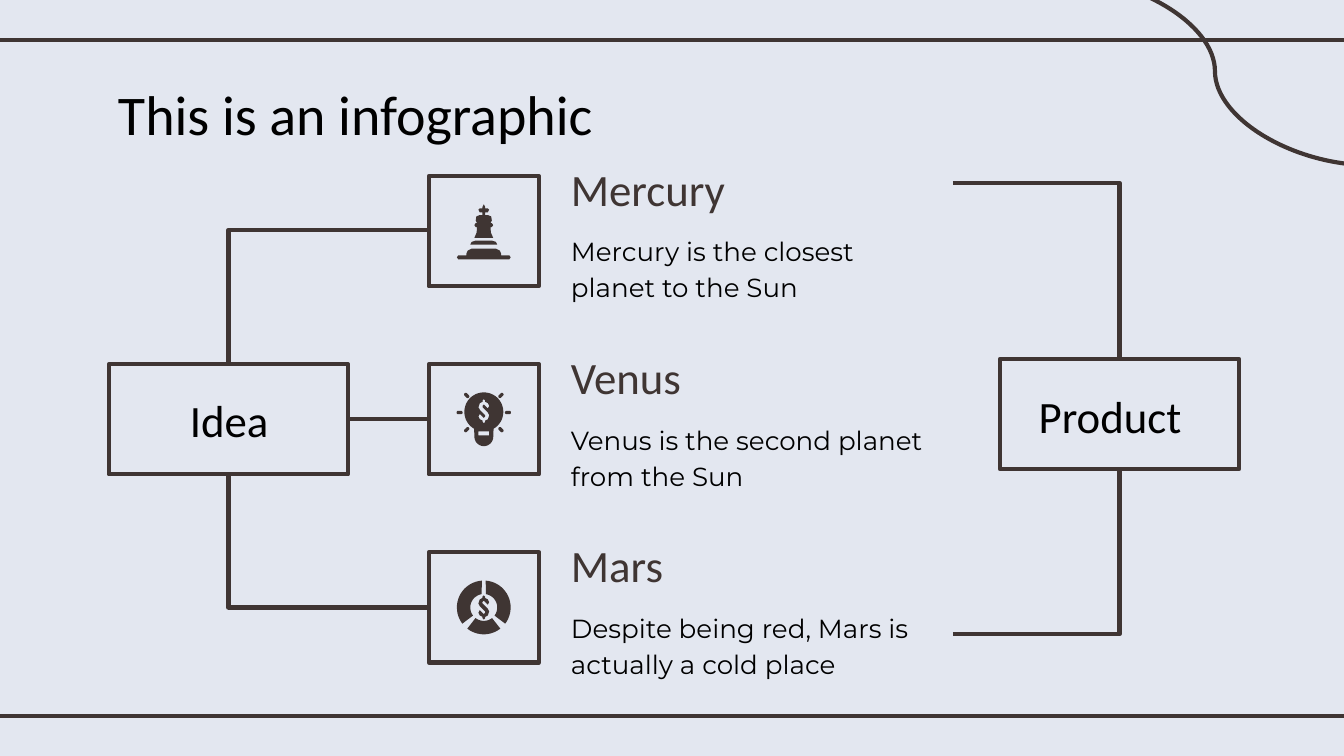
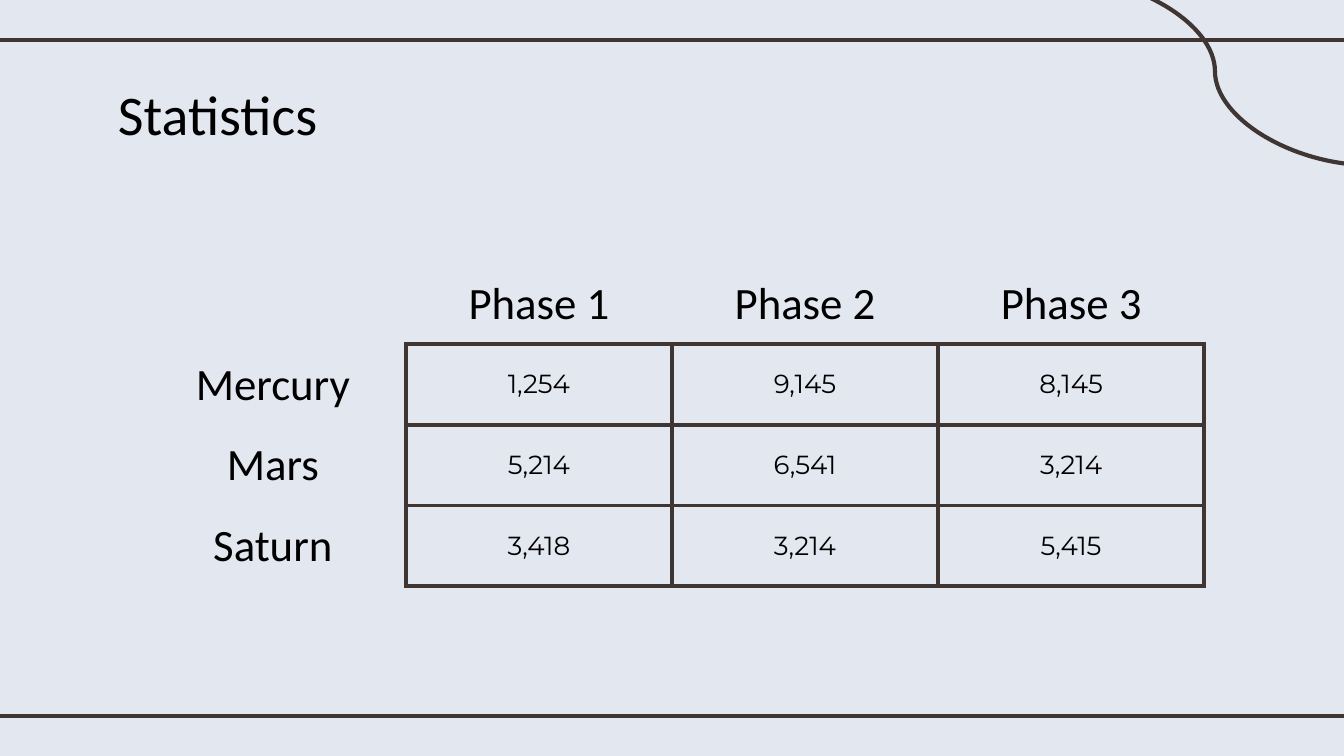
import math

import pptx
import pptx.dml.color
import pptx.enum.shapes
import pptx.enum.text
import pptx.oxml
import pptx.oxml.ns
import pptx.util
from lxml import etree

Inches = pptx.util.Inches
Pt = pptx.util.Pt
SHAPE = pptx.enum.shapes.MSO_SHAPE
CONNECTOR = pptx.enum.shapes.MSO_CONNECTOR
ANCHOR = pptx.enum.text.MSO_ANCHOR
ALIGN = pptx.enum.text.PP_ALIGN

INK, PAPER, BLACK = "3F3533", "E3E7F0", "000000"
HEADING_FONT, BODY_FONT = "Calibri", "Montserrat"
LINE_WIDTH = 2.25
NO_STYLE_NO_GRID = "{2D5ABB26-0587-4C30-8999-92F81FD0307C}"

PAGE_WIDTH = 10
PAGE_HEIGHT = PAGE_WIDTH * 9 / 16
STEP_WIDTH = 1.78
BOX_HEIGHT = 0.82
PLANET_PITCH = 1.4


def color(value):
    return pptx.dml.color.RGBColor.from_string(value)


def write(frame, text, size=24, font=HEADING_FONT, ink=BLACK, align=ALIGN.LEFT,
          spacing=None, after=None):
    """Fill a text frame with one formatted paragraph."""
    frame.word_wrap = True
    para = frame.paragraphs[0]
    para.alignment = align
    if spacing:
        para.line_spacing = spacing
    if after:
        para.space_after = Pt(after)
    span = para.add_run()
    span.text = text
    span.font.size = Pt(size)
    span.font.name = font
    span.font.color.rgb = color(ink)


def add_text(page, text, left, top, width, height, **style):
    frame = page.shapes.add_textbox(*map(Inches, (left, top, width, height))).text_frame
    frame.margin_left = frame.margin_right = Inches(0.1)
    frame.margin_top = frame.margin_bottom = Inches(0.1)
    frame.vertical_anchor = ANCHOR.TOP
    write(frame, text, **style)


def add_frame(page, left, top, width, height, kind=SHAPE.RECTANGLE):
    """Draw an unfilled outlined box."""
    box = page.shapes.add_shape(kind, *map(Inches, (left, top, width, height)))
    box.shadow.inherit = False
    box.fill.background()
    box.line.color.rgb = color(INK)
    box.line.width = Pt(LINE_WIDTH)
    return box


def add_link(page, start, end, kind=CONNECTOR.STRAIGHT):
    link = page.shapes.add_connector(kind, *map(Inches, start + end))
    link.line.color.rgb = color(INK)
    link.line.width = Pt(LINE_WIDTH)
    etree.SubElement(link._element.spPr, pptx.oxml.ns.qn("a:effectLst"))
    return link


def add_corner(page, start, end):
    """Link two points with one bend: first across, then up or down."""
    link = add_link(page, start, end, CONNECTOR.ELBOW)
    link._element.spPr.find(pptx.oxml.ns.qn("a:prstGeom")).set("prst", "bentConnector2")


# Icon outlines are in hundredths of an inch around the icon's centre.

def arc(x, y, radius, first, last):
    """Points along an arc, angles in degrees, clockwise from the right."""
    count = max(4, round(abs(last - first) / 6))
    angles = [math.radians(first + (last - first) * i / count) for i in range(count + 1)]
    return [(x + radius * math.cos(a), y + radius * math.sin(a)) for a in angles]


def mirrored(points):
    return [(-x, y) for x, y in reversed(points)]


def symmetric(half):
    return half + mirrored(half)


def ring_segment(first, last, inner_first):
    return arc(0, 0, 20, first, last) + arc(0, 0, 10, last, inner_first)


def dollar(y):
    half = [(0, -9), (1, -8), (1, -7), (3, -6), (4, -4), (3, -2), (1, -4), (0, -5),
            (-1, -4), (-1, -3), (1, -1), (3, 1), (4, 3), (3, 6), (1, 7), (1, 8)]
    return [(px, py + y) for px, py in half + [(-px, -py) for px, py in half]]


def chess_icon():
    king = [(0, -20), (1, -18), (1, -17), (3, -17), (4, -16), (3, -14), (1, -14),
            (1, -12), (3, -12), (5.5, -11), (6, -8), (5, -6), (6, -6), (7, -4.5),
            (6, -3), (5, -3), (5.3, 1), (7, 5)]
    band = [(6, 7), (9, 8), (10, 10)]
    base = [(9, 13), (12, 14.5), (13, 17), (13, 18), (19, 18), (20, 19.5), (19, 21)]
    return [[symmetric(half)] for half in (base, king, band)]


def bulb_icon():
    glass = symmetric(arc(0, -5.5, 14.5, -90, 60) + arc(0, 13, 7, 0, 90))
    slot = [(-4, 9), (-4, 12), (4, 12), (4, 9)]
    parts = [[glass, dollar(-6), slot]]
    for angle in (180, 0, 135, 315, 45, 225):
        turn = math.radians(angle)
        ray = arc(19, 0, 1.25, -90, 90) + arc(17, 0, 1.25, 90, 270)
        parts.append([[(x * math.cos(turn) - y * math.sin(turn),
                        x * math.sin(turn) + y * math.cos(turn) - 5) for x, y in ray]])
    return parts


def coin_icon():
    right = ring_segment(-86, 37, -81)
    return [[mirrored(right)], [ring_segment(52, 128, 52)], [right], [dollar(0)]]


def add_icon(page, parts, x, y):
    """Draw the parts of an icon, grouped, centred on x, y."""
    drawn = []
    for contours in parts:
        builder = None
        for contour in contours:
            points = [(round(px * 100), round(py * 100)) for px, py in contour]
            if builder is None:
                builder = page.shapes.build_freeform(*points[0], scale=Inches(1) / 10000)
            else:
                builder.move_to(*points[0])
            builder.add_line_segments(points[1:], close=True)
        part = builder.convert_to_shape(Inches(x), Inches(y))
        part.shadow.inherit = False
        part.fill.solid()
        part.fill.fore_color.rgb = color(INK)
        part.line.fill.background()
        drawn.append(part)
    page.shapes.add_group_shape(drawn)


def add_page(deck, title):
    """Add a slide with the shared background, rules, curve and title."""
    page = deck.slides.add_slide(deck.slide_layouts[6])
    page.background.fill.solid()
    page.background.fill.fore_color.rgb = color(PAPER)
    for y in (0.3, 5.33):
        add_link(page, (-0.08, y), (10.08, y))
    add_link(page, (7.88, -0.17), (10.2, 1.23), CONNECTOR.CURVE)
    add_text(page, title, 0.78, 0.49, 8.44, 0.63, size=30)
    return page


def add_step(page, text, left, top, text_top, align):
    box = add_frame(page, left, top, STEP_WIDTH, BOX_HEIGHT, SHAPE.ROUNDED_RECTANGLE)
    box.adjustments[0] = 0
    add_text(page, text, left + 0.19, text_top, 1.41, 0.63, align=align)


def add_planet(page, name, fact, icon, left, top):
    """Place a framed icon with the planet's name and fact to its right."""
    frame_top = top + 0.21
    add_frame(page, left, frame_top, BOX_HEIGHT, BOX_HEIGHT)
    add_icon(page, icon, left + BOX_HEIGHT / 2, frame_top + BOX_HEIGHT / 2)
    add_text(page, name, left + 0.96, top, 2.94, 0.52, ink=INK)
    add_text(page, fact, left + 0.96, top + 0.52, 2.94, 0.59, size=14, font=BODY_FONT,
             spacing=1.15, after=12)


def build_infographic(deck):
    page = add_page(deck, "This is an infographic")
    planets = [
        ("Mercury", "Mercury is the closest planet to the Sun", chess_icon()),
        ("Venus", "Venus is the second planet from the Sun", bulb_icon()),
        ("Mars", "Despite being red, Mars is actually a cold place", coin_icon()),
    ]
    planet_left, planet_top = 3.19, 1.1
    for row, (name, fact, icon) in enumerate(planets):
        add_planet(page, name, fact, icon, planet_left, planet_top + row * PLANET_PITCH)

    idea_left, idea_top = 0.81, 2.71
    idea_middle = idea_left + STEP_WIDTH / 2
    add_step(page, "Idea", idea_left, idea_top, 2.82, ALIGN.CENTER)
    add_corner(page, (planet_left, 1.71), (idea_middle, idea_top))
    add_link(page, (idea_left + STEP_WIDTH, 3.12), (planet_left, 3.12), CONNECTOR.CURVE)
    add_corner(page, (planet_left, 4.52), (idea_middle, idea_top + BOX_HEIGHT))

    product_left, product_top = 7.44, 2.67
    product_middle = product_left + STEP_WIDTH / 2
    add_step(page, "Product", product_left, product_top, 2.79, ALIGN.LEFT)
    add_corner(page, (7.09, 1.36), (product_middle, product_top))
    add_corner(page, (7.09, 4.72), (product_middle, product_top + BOX_HEIGHT))


def set_borders(cell, sides):
    """Rule the named sides (L, R, T, B) of a cell and clear the others."""
    properties = cell._tc.get_or_add_tcPr()
    for side in "LRTB":
        line = etree.SubElement(properties, pptx.oxml.ns.qn("a:ln" + side))
        if side in sides:
            line.set("w", str(Pt(LINE_WIDTH)))
            fill = etree.SubElement(line, pptx.oxml.ns.qn("a:solidFill"))
            etree.SubElement(fill, pptx.oxml.ns.qn("a:srgbClr")).set("val", INK)
        else:
            etree.SubElement(line, pptx.oxml.ns.qn("a:noFill"))


def add_grid(page, rows, left, top, column_width, row_height):
    """Add a table whose first row and column are unruled headings."""
    size = len(rows), len(rows[0])
    table = page.shapes.add_table(
        *size, Inches(left), Inches(top),
        Inches(column_width * size[1]), Inches(row_height * size[0])).table
    table.first_row = table.horz_banding = False
    table._tbl.tblPr.find(pptx.oxml.ns.qn("a:tableStyleId")).text = NO_STYLE_NO_GRID
    for column in table.columns:
        column.width = Inches(column_width)
    for y, values in enumerate(rows):
        table.rows[y].height = Inches(row_height)
        for x, value in enumerate(values):
            cell = table.cell(y, x)
            is_value = x > 0 and y > 0
            if is_value:
                sides = "LRTB"
            else:
                sides = "B" if x else "R" if y else ""
            set_borders(cell, sides)
            cell.fill.background()
            cell.margin_left = cell.margin_right = Inches(0.1)
            cell.margin_top = cell.margin_bottom = Inches(0.1)
            cell.vertical_anchor = ANCHOR.MIDDLE if is_value else ANCHOR.TOP
            if value:
                style = {"size": 14, "font": BODY_FONT} if is_value else {}
                write(cell.text_frame, value, align=ALIGN.CENTER, **style)


def build_statistics(deck):
    page = add_page(deck, "Statistics")
    rows = [
        ("", "Phase 1", "Phase 2", "Phase 3"),
        ("Mercury", "1,254", "9,145", "8,145"),
        ("Mars", "5,214", "6,541", "3,214"),
        ("Saturn", "3,418", "3,214", "5,415"),
    ]
    add_grid(page, rows, 1.04, 1.96, column_width=1.98, row_height=0.42)


def main():
    deck = pptx.Presentation()
    deck.slide_width = Inches(PAGE_WIDTH)
    deck.slide_height = Inches(PAGE_HEIGHT)
    build_infographic(deck)
    build_statistics(deck)
    deck.save("out.pptx")


if __name__ == "__main__":
    main()
